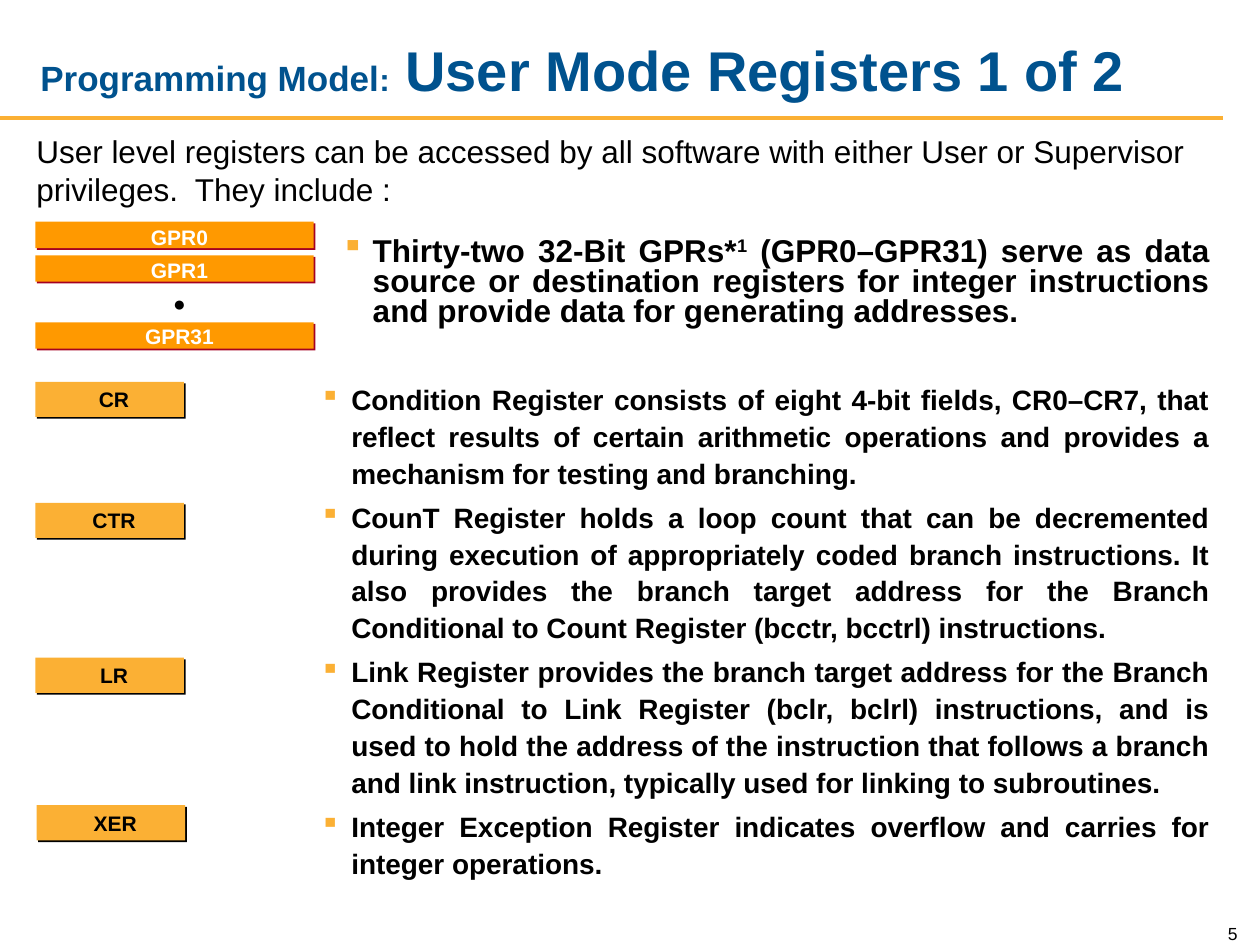
from lxml import etree
from pptx import Presentation
from pptx.dml.color import RGBColor
from pptx.enum.shapes import MSO_CONNECTOR, MSO_SHAPE
from pptx.enum.text import MSO_ANCHOR, MSO_AUTO_SIZE, PP_ALIGN
from pptx.oxml import parse_xml
from pptx.oxml.ns import qn
from pptx.util import Inches, Pt

LEFT, CENTER, RIGHT, JUSTIFY = PP_ALIGN.LEFT, PP_ALIGN.CENTER, PP_ALIGN.RIGHT, PP_ALIGN.JUSTIFY
TOP, MIDDLE, BOTTOM = MSO_ANCHOR.TOP, MSO_ANCHOR.MIDDLE, MSO_ANCHOR.BOTTOM
RECTANGLE, STRAIGHT = MSO_SHAPE.RECTANGLE, MSO_CONNECTOR.STRAIGHT
FIXED = MSO_AUTO_SIZE.NONE
NAMESPACE = "http://schemas.openxmlformats.org/drawingml/2006/main"
COLORS = {"title": "00528E", "gold": "FBB034", "orange": "FF9900",
          "red": "A50021", "black": "000000", "white": "FFFFFF"}
RGB = {name: RGBColor.from_string(value) for name, value in COLORS.items()}

deck = Presentation()
deck.slide_width, deck.slide_height = Inches(10), Inches(7.5)
page = deck.slides.add_slide(deck.slide_layouts[5])

# The page is a grid of 100 columns by 75 rows
COLUMN, ROW = deck.slide_width / 100, deck.slide_height / 75


def add_text(area, lines, size, bold=True, align=LEFT, anchor=TOP, spacing=1.0,
             before=0, insets=(0.1, 0.05), wrap=True, bullet=False):
    """Add a text box with one paragraph per line; area is in grid units."""
    left, top, width, height = area
    box = page.shapes.add_textbox(int(left * COLUMN), int(top * ROW),
                                  int(width * COLUMN), int(height * ROW))
    frame = box.text_frame
    frame.text = "\n".join(lines)
    frame.word_wrap, frame.vertical_anchor = wrap, anchor
    frame.margin_left = frame.margin_right = Inches(insets[0])
    frame.margin_top = frame.margin_bottom = Inches(insets[1])
    for index, para in enumerate(frame.paragraphs):
        if bullet:
            props = para._p.get_or_add_pPr()
            props.set("marL", str(Inches(0.25)))
            props.set("indent", str(-Inches(0.25)))
            color = etree.SubElement(props, qn("a:buClr"))
            etree.SubElement(color, qn("a:srgbClr"), val=COLORS["gold"])
            etree.SubElement(props, qn("a:buChar"), char="▪")
        para.alignment, para.line_spacing = align, spacing
        para.space_before = Pt(before if index else 0)
        for span in para.runs:
            span.font.name, span.font.size, span.font.bold = "Arial", Pt(size), bold
            span.font.color.rgb = RGB["black"]
    return frame


def add_register(left, top, width, height, fill, shadow):
    """Add a register bar with a hard offset shadow, in grid units."""
    bar = page.shapes.add_shape(RECTANGLE, int(left * COLUMN), int(top * ROW),
                                int(width * COLUMN), int(height * ROW))
    bar.fill.solid()
    bar.fill.fore_color.rgb = RGB[fill]
    bar.line.fill.background()
    bar.shadow.inherit = False
    effects = bar._element.spPr.find(qn("a:effectLst"))
    effects.append(parse_xml(
        f'<a:outerShdw xmlns:a="{NAMESPACE}" blurRad="0" dist="{Pt(1.4)}" dir="2700000" '
        f'algn="ctr" rotWithShape="0"><a:srgbClr val="{COLORS[shadow]}"/></a:outerShdw>'))


# Rule under the title
rule = page.shapes.add_connector(STRAIGHT, 0, int(9.4 * ROW), int(97.1 * COLUMN), int(9.4 * ROW))
rule.line.color.rgb = RGB["gold"]
rule.line.width = Pt(2.25)
etree.SubElement(rule._element.spPr, qn("a:effectLst"))

# Title
title = page.shapes.title
title.left, title.top = int(2.2 * COLUMN), int(1.7 * ROW)
title.width, title.height = int(88.7 * COLUMN), int(7.5 * ROW)
title_frame = title.text_frame
title_frame.auto_size, title_frame.vertical_anchor = FIXED, MIDDLE
title_para = title_frame.paragraphs[0]
title_para.alignment = LEFT
for text, size in (("Programming Model", 20), (":", 18), (" User Mode Registers 1 of 2", 32)):
    span = title_para.add_run()
    span.text = text
    span.font.name, span.font.size, span.font.bold = "Arial", Pt(size), True
    span.font.color.rgb = RGB["title"]

# Introduction
add_text((1.9, 10, 93.3, 7), ["User level registers can be accessed by all software with either "
                              "User or Supervisor privileges.  They include :"], 18, bold=False)

# General-purpose registers: the third of four rows is left open
for row in (0, 1, 3):
    add_register(2.8, 17.6 + row * 2.66, 22.1, 2.1, "orange", "red")
names = add_text((11.1, 17.4, 6.3, 10.4), ["GPR0", "GPR1", "●", "GPR31"], 12, align=CENTER,
                 spacing=1.1, before=3, insets=(0.04, 0.02), wrap=False)
for para in names.paragraphs:
    if para.text != "●":
        para.runs[0].font.color.rgb = RGB["white"]

gpr_note = add_text((26.1, 18.4, 70.9, 8.9), ["Thirty-two 32-Bit GPRs*"], 18, align=JUSTIFY,
                    spacing=0.8, bullet=True)
gpr_para = gpr_note.paragraphs[0]
for text, baseline in (("1", "30000"),
                       (" (GPR0–GPR31) serve as data source or destination registers for "
                        "integer instructions and provide data for generating addresses.", "0")):
    span = gpr_para.add_run()
    span.text = text
    span.font.name, span.font.size, span.font.bold = "Arial", Pt(18), True
    span.font.color.rgb = RGB["black"]
    span._r.get_or_add_rPr().set("baseline", baseline)

# Special registers
for name, left, top in (("CR", 2.8, 30.3), ("CTR", 2.8, 39.9),
                        ("LR", 2.8, 52.2), ("XER", 2.9, 63.9)):
    add_register(left, top, 11.8, 2.8, "gold", "black")
    add_text((left + 4.1, top - 0.1, 4.3, 2.6), [name], 12, align=CENTER, spacing=1.15,
             insets=(0.04, 0.02), wrap=False)

add_text((24.4, 29.6, 72.6, 38.3), [
    "Condition Register consists of eight 4-bit fields, CR0–CR7, that reflect results of certain "
    "arithmetic operations and provides a mechanism for testing and branching.",
    "CounT Register holds a loop count that can be decremented during execution of appropriately "
    "coded branch instructions. It also provides the branch target address for the Branch "
    "Conditional to Count Register (bcctr, bcctrl) instructions.",
    "Link Register provides the branch target address for the Branch Conditional to Link Register "
    "(bclr, bclrl) instructions, and is used to hold the address of the instruction that follows "
    "a branch and link instruction, typically used for linking to subroutines.",
    "Integer Exception Register indicates overflow and carries for integer operations.",
], 16, align=JUSTIFY, spacing=1.1, before=4, bullet=True)

# Page number
add_text((94.2, 72.4, 5, 3), ["5"], 10, bold=False, align=RIGHT, anchor=BOTTOM)

deck.save("out.pptx")
